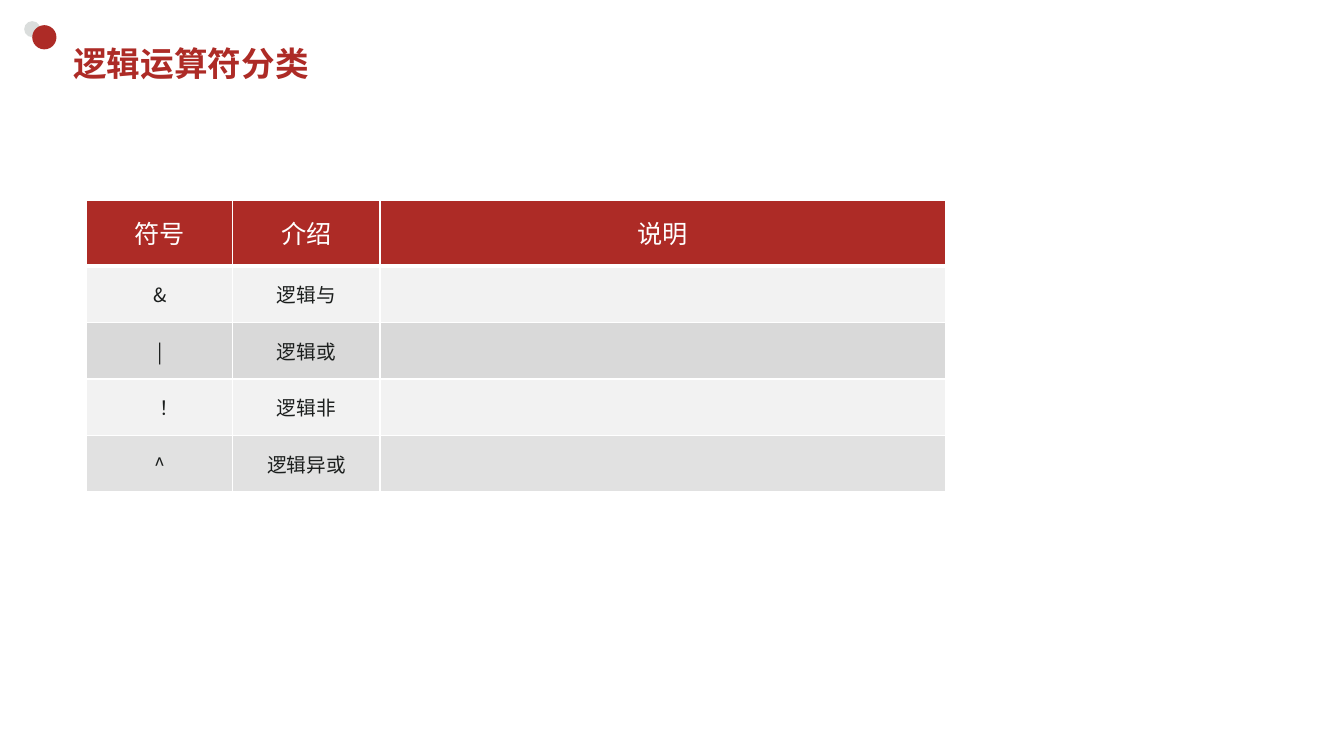
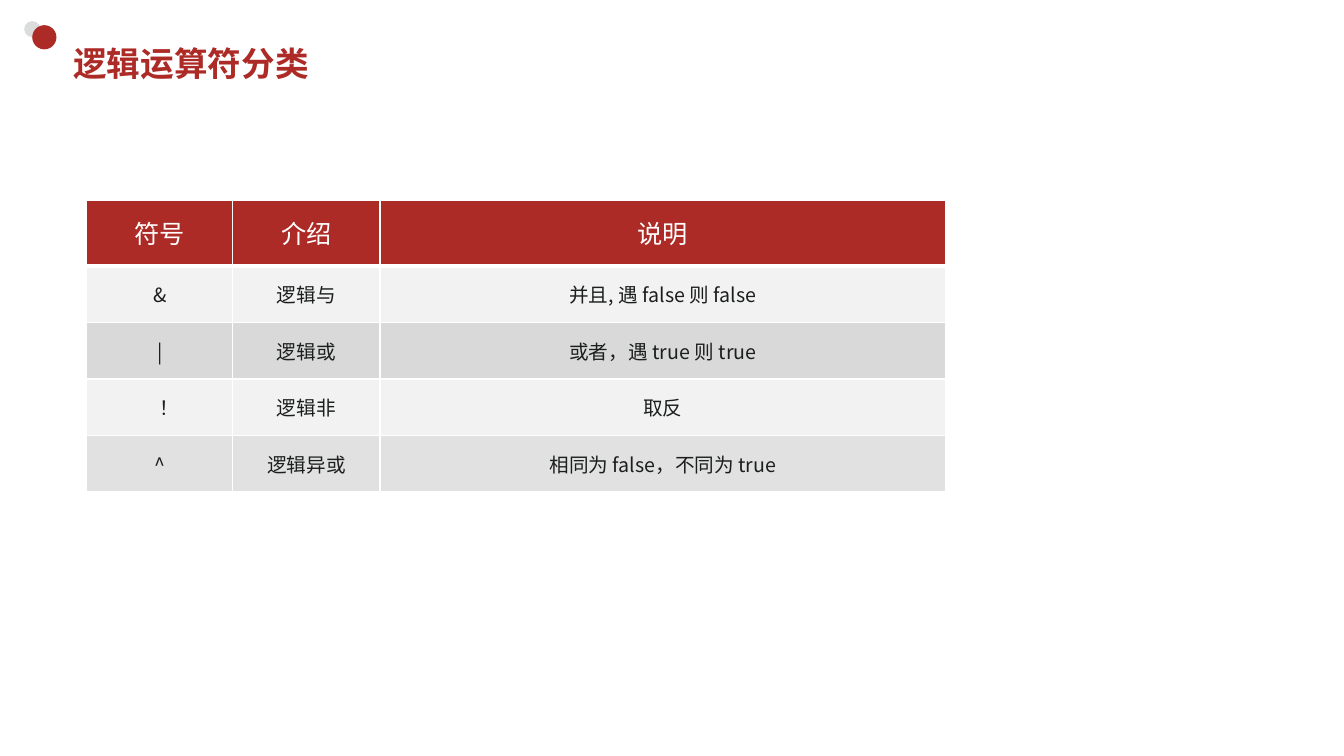
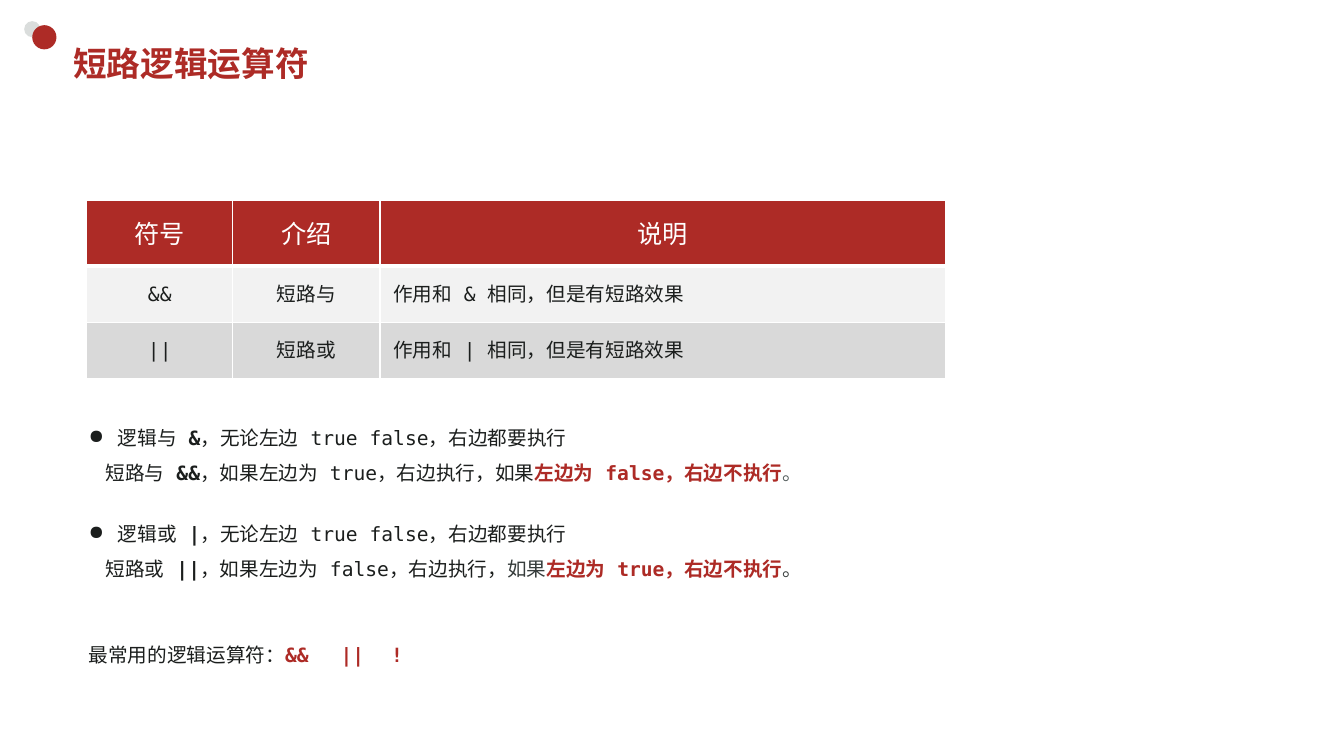
from lxml import etree
from pptx import Presentation
from pptx import util as u
from pptx.dml.color import RGBColor
from pptx.enum import lang, shapes, text
from pptx.oxml.ns import qn

RED, INK, WHITE = "AD2B26", "1B1E1D", "FFFFFF"
PALE, GREY, SOFT = "F2F2F2", "D9D9D9", "E1E1E1"
MONO, SANS, HEAD = "DejaVu Sans Mono", "Noto Sans CJK JP", "Calibri"

DOTS = [(0.24, 0.21, 0.16, "DADDDC"), (0.32, 0.25, 0.24, RED)]
TITLE_AT = (0.63, 0.37, 11.74, 0.52)
TABLE_LEFT, TABLE_TOP = 0.86, 1.99
COLUMNS = [1.45, 1.46, 5.61]
HEAD_ROW, BODY_ROW = 0.65, 0.56
ROW_FILLS = [RED, PALE, GREY, PALE, SOFT]
HEADER = ["符号", "介绍", "说明"]
WIDE_MARK = "！"

OPERATORS = [
    ("&", "逻辑与", "并且, 遇 false 则 false"),
    ("|", "逻辑或", "或者，遇 true 则 true"),
    (WIDE_MARK, "逻辑非", "取反"),
    ("^", "逻辑异或", "相同为 false，不同为 true"),
]
SHORT_CIRCUIT = [
    ("&&", "短路与", "作用和 & 相同，但是有短路效果"),
    ("||", "短路或", "作用和 | 相同，但是有短路效果"),
]
CENTER, LEFT = text.PP_ALIGN.CENTER, text.PP_ALIGN.LEFT
TABLE_SLIDES = [
    dict(title="逻辑运算符分类", rows=[(*row[:2], "") for row in OPERATORS],
         font=SANS, inset=(0.1, 0.05), last_align=CENTER),
    dict(title="逻辑运算符分类", rows=OPERATORS,
         font=SANS, inset=(0.1, 0.05), last_align=CENTER),
    dict(title="短路逻辑运算符", rows=SHORT_CIRCUIT,
         font=MONO, inset=(0.13, 0.07), last_align=LEFT),
]

STYLES = {
    "plain": dict(color=INK, bold=False),
    "strong": dict(color=INK, bold=True),
    "red": dict(color=RED, bold=True),
    "dark": dict(color="363C3B", bold=False),
    "mid": dict(color="525B5A", bold=False),
}
# Each note: place, then paragraphs of (layout, [(words, style), ...])
NOTES = [
    ((0.78, 4.06, 8.6, 1.12), [
        ("bullet", [("逻辑与 ", "plain"), ("&", "strong"),
                    ("，无论左边 true false，右边都要执行", "plain")]),
        ("indent", [("短路与 ", "plain"), ("&&", "strong"),
                    ("，如果左边为 true，右边执行，如果", "plain"),
                    ("左边为 false，右边不执行", "red"), ("。", "mid")]),
    ]),
    ((0.78, 5.01, 7.44, 0.77), [
        ("bullet", [("逻辑或 ", "plain"), ("|", "strong"),
                    ("，无论左边 true false，右边都要执行", "plain")]),
        ("indent", [("短路或 ", "plain"), ("||", "strong"),
                    ("，如果左边为 false，右边执行，", "plain"), ("如果", "dark"),
                    ("左边为 true，右边不执行", "red"), ("。", "dark")]),
    ]),
    ((0.78, 6.21, 8.11, 0.42), [
        ("tabs", [("最常用的逻辑运算符：", "plain"), ("&&\t||\t!", "red")]),
    ]),
]
MARGINS = {"bullet": (0.29, -0.29), "indent": (0.17, 0), "tabs": (0, 0)}
TAB_STOPS = [2.45, 3.05]


def rgb(value):
    return RGBColor.from_string(value)


def inches(values):
    return [u.Inches(value) for value in values]


def add_span(para, words, font, size, color, bold=False):
    span = para.add_run()
    span.text = words
    values = dict(name=font, size=u.Pt(size), bold=bold,
                  language_id=lang.MSO_LANGUAGE_ID.SIMPLIFIED_CHINESE)
    for name, value in values.items():
        setattr(span.font, name, value)
    span.font.color.rgb = rgb(color)
    east_asian = etree.SubElement(span.font._element, qn("a:ea"))
    east_asian.set("typeface", font)


def add_box(page, place):
    frame = page.shapes.add_textbox(*inches(place)).text_frame
    frame.word_wrap = True
    return frame


def add_frame(page, title):
    """Draw the corner dots and the title shared by all slides."""
    for left, top, size, color in DOTS:
        dot = page.shapes.add_shape(shapes.MSO_SHAPE.OVAL, *inches((left, top, size, size)))
        dot.shadow.inherit = False
        dot.fill.solid()
        dot.fill.fore_color.rgb = rgb(color)
        dot.line.fill.background()
    frame = add_box(page, TITLE_AT)
    frame.vertical_anchor = text.MSO_ANCHOR.MIDDLE
    add_span(frame.paragraphs[0], title, MONO, 24, RED, True)


def add_borders(cell, top, bottom):
    properties = cell._tc.get_or_add_tcPr()
    for side, width in zip("LRTB", (1, 1, top, bottom)):
        line = etree.SubElement(properties, qn(f"a:ln{side}"), w=str(u.Pt(width)))
        fill = etree.SubElement(line, qn("a:solidFill"))
        etree.SubElement(fill, qn("a:srgbClr"), val=WHITE)


def add_operator_table(page, rows, font, inset, last_align):
    heights = [HEAD_ROW] + [BODY_ROW] * len(rows)
    place = inches((TABLE_LEFT, TABLE_TOP, sum(COLUMNS), sum(heights)))
    table = page.shapes.add_table(len(heights), len(COLUMNS), *place).table
    table.first_row = table.horz_banding = False
    for column, width in zip(table.columns, COLUMNS):
        column.width = u.Inches(width)
    for r, (height, words) in enumerate(zip(heights, [HEADER, *rows])):
        table.rows[r].height = u.Inches(height)
        for c, word in enumerate(words):
            cell = table.cell(r, c)
            add_borders(cell, 3 if r == 1 else 1, 3 if r == 0 else 1)
            cell.fill.solid()
            cell.fill.fore_color.rgb = rgb(ROW_FILLS[r])
            cell.vertical_anchor = text.MSO_ANCHOR.MIDDLE
            side, edge = inches(inset if r else (0.1, 0.05))
            nudge = u.Inches(0.09) if word == WIDE_MARK else 0
            for name, value in dict(left=side + nudge, right=side, top=edge, bottom=edge).items():
                setattr(cell, f"margin_{name}", value)
            para = cell.text_frame.paragraphs[0]
            para.alignment = last_align if r and c == 2 else CENTER
            if r == 0:
                para.line_spacing = u.Pt(24)
                add_span(para, word, HEAD, 18, WHITE)
            elif word:
                add_span(para, word, font, 14, INK)


def set_layout(para, layout):
    """Set the spacing, indents, bullet and tab stops of a note paragraph."""
    para.line_spacing = 1.5
    properties = para._p.get_or_add_pPr()
    for name, value in zip(("marL", "indent"), MARGINS[layout]):
        properties.set(name, str(u.Inches(value)))
    if layout == "bullet":
        etree.SubElement(properties, qn("a:buChar"), char="●")
    if layout == "tabs":
        stops = etree.SubElement(properties, qn("a:tabLst"))
        for stop in TAB_STOPS:
            etree.SubElement(stops, qn("a:tab"), pos=str(u.Inches(stop)), algn="l")


def add_note(page, place, paragraphs):
    frame = add_box(page, place)
    for index, (layout, spans) in enumerate(paragraphs):
        para = frame.add_paragraph() if index else frame.paragraphs[0]
        set_layout(para, layout)
        for words, style in spans:
            add_span(para, words, MONO, 14, **STYLES[style])


def main():
    deck = Presentation()
    deck.slide_width, deck.slide_height = inches((13.33, 7.5))
    for content in TABLE_SLIDES:
        page = deck.slides.add_slide(deck.slide_layouts[6])
        add_frame(page, content["title"])
        add_operator_table(page, *(content[key] for key in ("rows", "font", "inset", "last_align")))
    for place, paragraphs in NOTES:
        add_note(page, place, paragraphs)
    deck.save("out.pptx")


if __name__ == "__main__":
    main()
